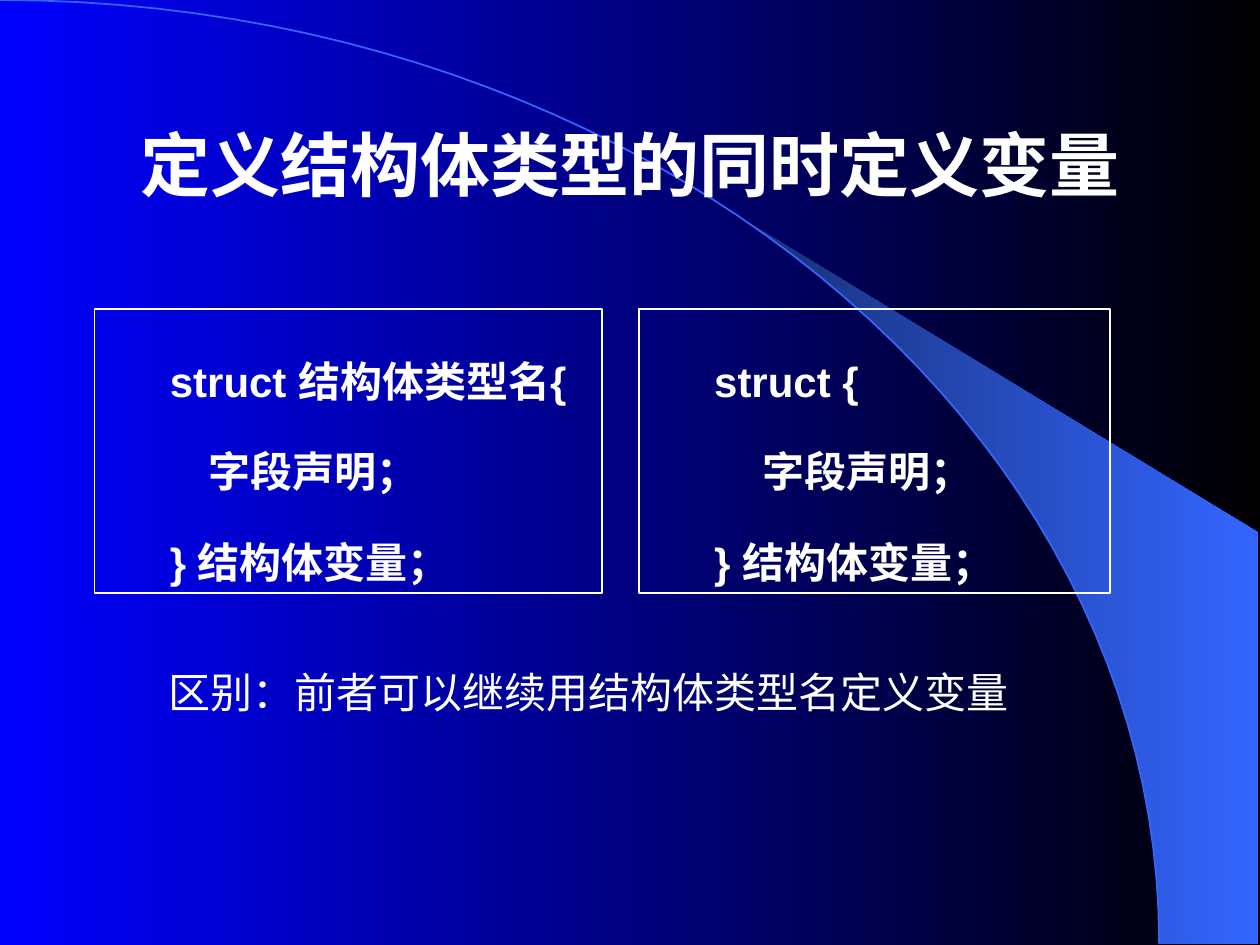
from pptx import Presentation
from pptx.dml.color import RGBColor
from pptx.enum.shapes import MSO_SHAPE
from pptx.enum.text import MSO_ANCHOR, PP_ALIGN
from pptx.util import Inches, Pt

COLORS = {
    "blue": "0000FF",
    "black": "000000",
    "navy": "182F76",
    "azure": "3366FF",
    "white": "FFFFFF",
}
COLUMNS, ROWS = 20, 15
ARC = [(0, 0), (10.16, 0), (18.4, 6.7), (18.4, 14.98)]


def arc_points(start, end, steps=48):
    points = []
    for step in range(steps + 1):
        t = start + (end - start) * step / steps
        weights = ((1 - t) ** 3, 3 * t * (1 - t) ** 2, 3 * t**2 * (1 - t), t**3)
        points.append(tuple(
            sum(weight * point[axis] for weight, point in zip(weights, ARC))
            for axis in (0, 1)
        ))
    return points


class SlideBuilder:
    font = "Arial"

    def __init__(self, deck):
        self.deck = deck
        self.page = deck.slides.add_slide(deck.slide_layouts[6])

    def color(self, name):
        return RGBColor.from_string(COLORS[name])

    def place(self, column, row):
        return (int(self.deck.slide_width * column / COLUMNS),
                int(self.deck.slide_height * row / ROWS))

    def gradient(self, fill, *names):
        fill.gradient()
        fill.gradient_angle = 0
        for stop, name, position in zip(fill.gradient_stops, names, (0, 1)):
            stop.color.rgb = self.color(name)
            stop.position = position

    def background(self, *names):
        self.gradient(self.page.background.fill, *names)

    def outline(self, shape, name):
        shape.line.color.rgb = self.color(name)
        shape.line.width = Pt(1)

    def freeform(self, points, close):
        places = [self.place(*point) for point in points]
        builder = self.page.shapes.build_freeform(*places[0])
        builder.add_line_segments(places[1:], close=close)
        shape = builder.convert_to_shape()
        shape.shadow.inherit = False
        return shape

    def wedge(self, points, *names):
        shape = self.freeform(points, True)
        self.gradient(shape.fill, *names)
        shape.line.fill.background()

    def curve(self, points, name):
        shape = self.freeform(points, False)
        shape.fill.background()
        self.outline(shape, name)

    def add_span(self, para, text, size, bold):
        span = para.add_run()
        span.text = text
        span.font.name = self.font
        span.font.size = Pt(size)
        span.font.bold = bold
        span.font.color.rgb = self.color("white")

    def text(self, at, extent, size, text, bold=False, align=PP_ALIGN.LEFT,
             anchor=MSO_ANCHOR.TOP, before=0):
        box = self.page.shapes.add_textbox(*self.place(*at), *self.place(*extent))
        frame = box.text_frame
        frame.word_wrap = True
        frame.vertical_anchor = anchor
        para = frame.paragraphs[0]
        para.alignment = align
        para.space_before = Pt(before)
        self.add_span(para, text, size, bold)

    def code_box(self, column, width, lines):
        box = self.page.shapes.add_shape(
            MSO_SHAPE.RECTANGLE, *self.place(column, 4.9), *self.place(width, 4.52))
        box.shadow.inherit = False
        box.fill.background()
        self.outline(box, "white")
        frame = box.text_frame
        frame.word_wrap = True
        frame.vertical_anchor = MSO_ANCHOR.TOP
        for index, (indent, text) in enumerate(lines):
            para = frame.paragraphs[0] if index == 0 else frame.add_paragraph()
            para.alignment = PP_ALIGN.LEFT
            para.line_spacing = 1.8
            properties = para._p.get_or_add_pPr()
            properties.set("marL", str(Inches(0.5 + indent)))
            properties.set("indent", "0")
            self.add_span(para, text, 24, True)


def main():
    deck = Presentation()
    deck.slide_width, deck.slide_height = Inches(10), Inches(7.5)
    slide = SlideBuilder(deck)
    slide.background("blue", "black")
    slide.wedge(arc_points(0.44, 1) + [(19.98, 14.98), (19.98, 8.46)], "navy", "azure")
    slide.curve(arc_points(0, 1), "azure")
    slide.text((1.5, 1.34), (17, 2.5), 40, "定义结构体类型的同时定义变量", bold=True,
               align=PP_ALIGN.CENTER, anchor=MSO_ANCHOR.MIDDLE)
    for column, width, opening, indent in (
        (1.5, 8.06, "struct 结构体类型名{", 0.31),
        (10.14, 7.48, "struct {", 0.38),
    ):
        slide.code_box(column, width, [
            (0, opening), (indent, "字段声明；"), (0, "} 结构体变量；")])
    slide.text((2.48, 10.48), (14.08, 1), 24,
               "区别：前者可以继续用结构体类型名定义变量", before=15)
    deck.save("out.pptx")


if __name__ == "__main__":
    main()
